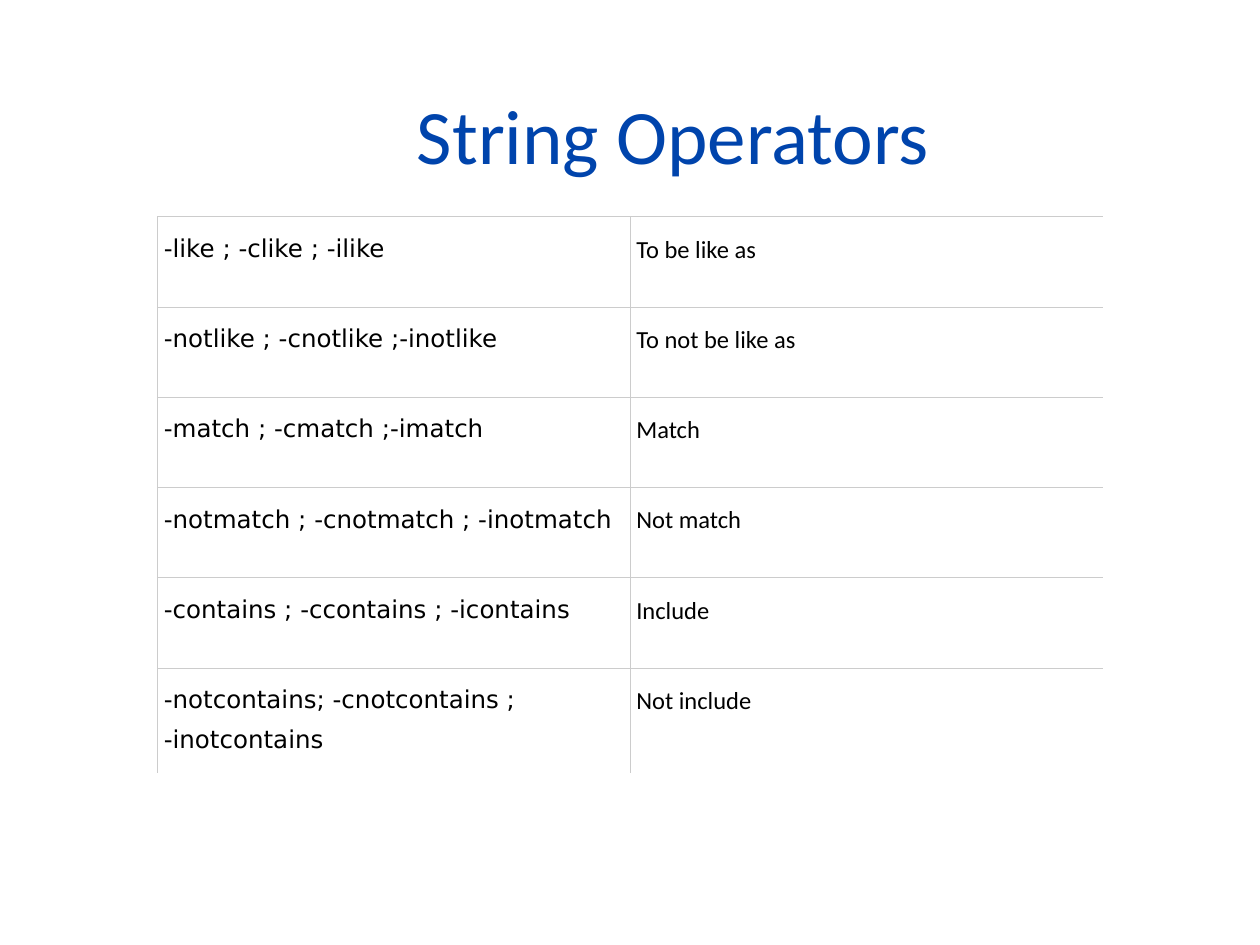
from lxml import etree
from pptx import Presentation
from pptx.dml.color import RGBColor
from pptx.enum.text import MSO_ANCHOR, PP_ALIGN
from pptx.oxml.ns import qn
from pptx.util import Pt

MIDDLE, CENTER = MSO_ANCHOR.MIDDLE, PP_ALIGN.CENTER
BLUE = RGBColor(0x00, 0x44, 0xAC)
BLACK = RGBColor(0x00, 0x00, 0x00)
GRAY = RGBColor(0xCC, 0xCC, 0xCC)

TITLE = "String Operators"
ROWS = [
    ("-like ; -clike ; -ilike", "To be like as"),
    ("-notlike ; -cnotlike ;-inotlike", "To not be like as"),
    ("-match ; -cmatch ;-imatch", "Match"),
    ("-notmatch ; -cnotmatch ; -inotmatch", "Not match"),
    ("-contains ; -ccontains ; -icontains", "Include"),
    ("-notcontains; -cnotcontains ;\v-inotcontains", "Not include"),
]
FONTS = ("DejaVu Sans", "Calibri")
LEFT, TOP, COL_W = 90, 123.75, 270
ROW_H, LAST_H = 51.6, 60
INSET, RULE = 3.6, 0.45


def style(par, font, size, color):
    par.font.name, par.font.size = font, Pt(size)
    par.font.color.rgb = color


def border(cell, sides):
    """Draw the named sides (of L, R, T, B) and hide the others."""
    props = cell._tc.get_or_add_tcPr()
    for side in "LRTB":
        line = etree.SubElement(props, qn(f"a:ln{side}"), w=str(int(Pt(RULE))))
        if side in sides:
            fill = etree.SubElement(line, qn("a:solidFill"))
            etree.SubElement(fill, qn("a:srgbClr"), val=str(GRAY))
        else:
            etree.SubElement(line, qn("a:noFill"))


def add_title(slide):
    title = slide.shapes.title
    title.left, title.top = Pt(72), Pt(40.5)
    title.width, title.height = Pt(625.5), Pt(72)
    frame = title.text_frame
    frame.text = TITLE
    frame.vertical_anchor = MIDDLE
    par = frame.paragraphs[0]
    par.alignment = CENTER
    style(par, "Calibri", 44, BLUE)


def add_grid(slide):
    last = len(ROWS) - 1
    heights = [ROW_H] * last + [LAST_H]
    table = slide.shapes.add_table(
        len(ROWS), len(FONTS), Pt(LEFT), Pt(TOP),
        Pt(COL_W * len(FONTS)), Pt(sum(heights))).table
    table.first_row = table.horz_banding = False
    for col in table.columns:
        col.width = Pt(COL_W)
    for r, (texts, height) in enumerate(zip(ROWS, heights)):
        table.rows[r].height = Pt(height)
        for c, (text, font) in enumerate(zip(texts, FONTS)):
            cell = table.cell(r, c)
            border(cell, "LT" + "R" * (c == 0) + "B" * (r < last))
            cell.fill.background()
            cell.margin_left = cell.margin_right = Pt(INSET)
            cell.margin_top = cell.margin_bottom = Pt(INSET)
            cell.text_frame.text = text
            par = cell.text_frame.paragraphs[0]
            par.line_spacing = 1.4
            style(par, font, 14, BLACK)


def main():
    deck = Presentation()
    deck.slide_width, deck.slide_height = Pt(720), Pt(540)
    slide = deck.slides.add_slide(deck.slide_layouts.get_by_name("Title Only"))
    add_title(slide)
    add_grid(slide)
    deck.save("out.pptx")


if __name__ == "__main__":
    main()
